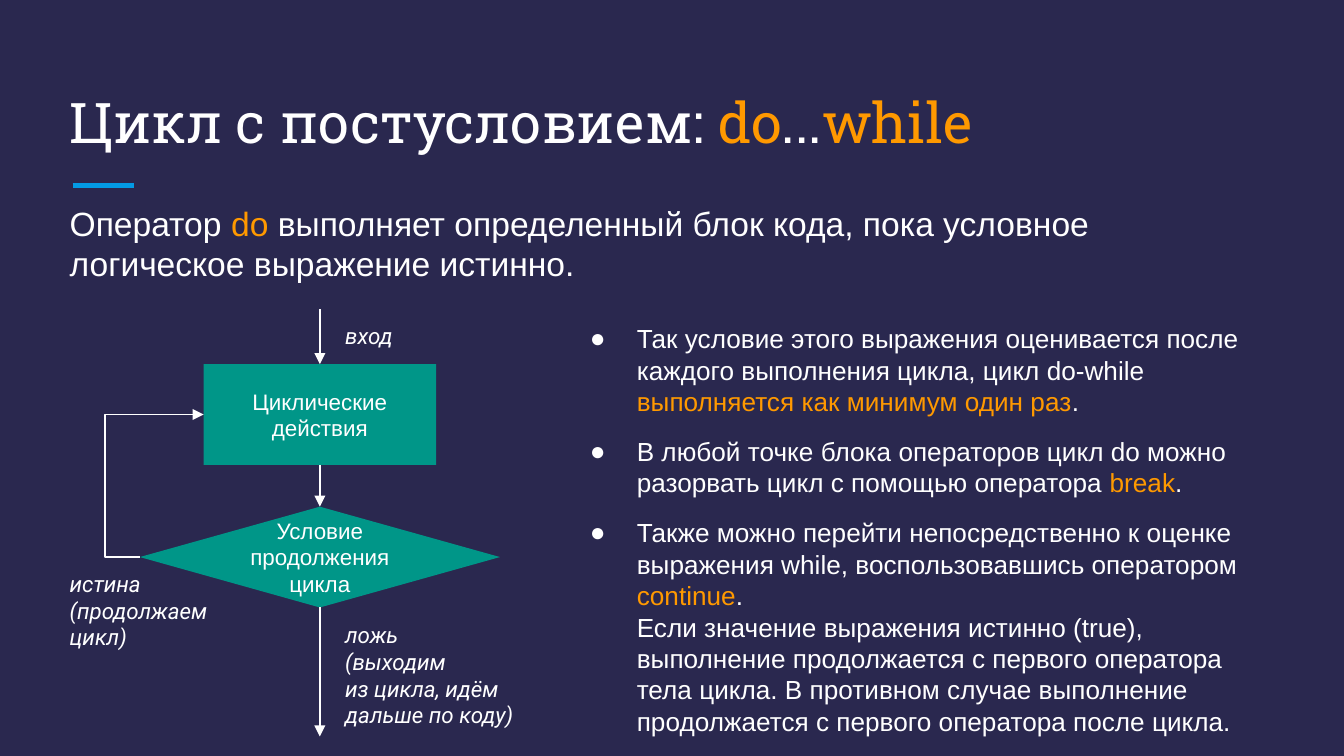
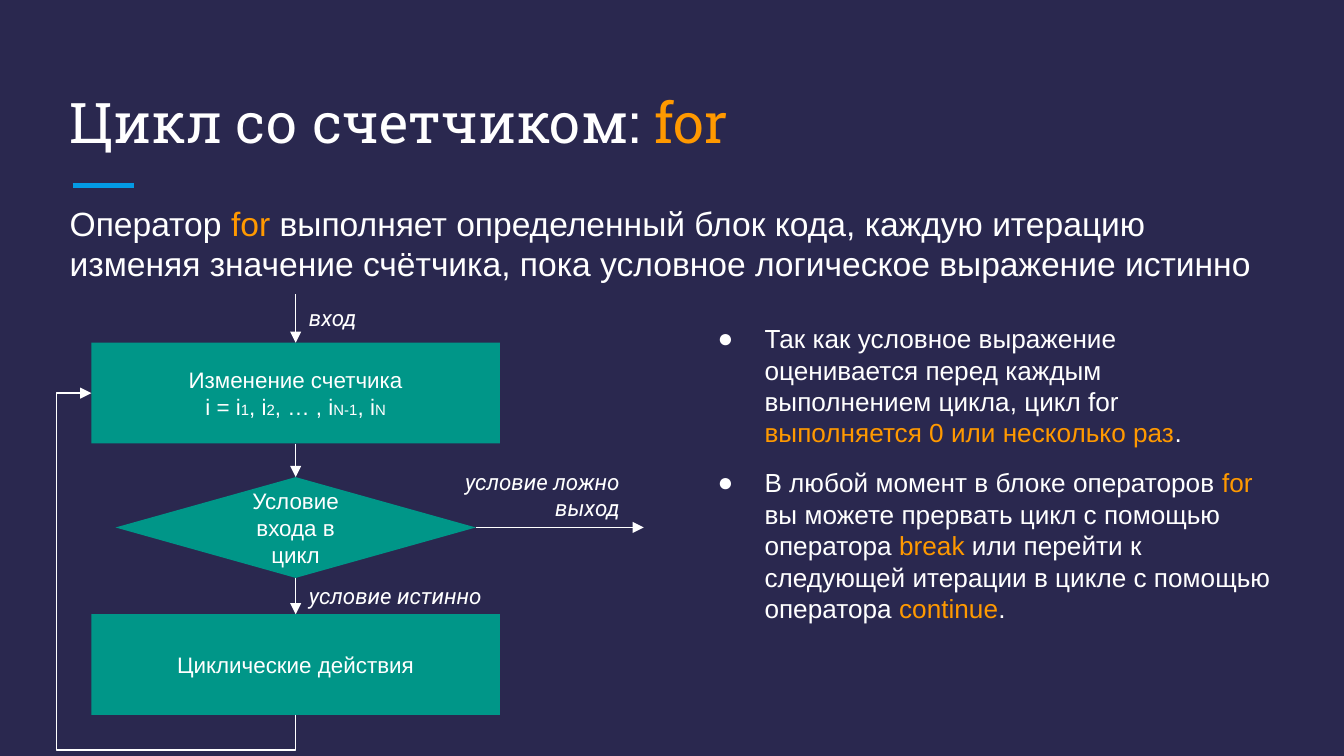
from dataclasses import dataclass

from lxml import etree
from pptx import Presentation
from pptx.dml.color import RGBColor
from pptx.enum.shapes import MSO_CONNECTOR, MSO_SHAPE
from pptx.enum.text import MSO_ANCHOR, MSO_AUTO_SIZE, PP_ALIGN
from pptx.oxml.ns import qn
from pptx.util import Inches, Pt

STRAIGHT, ELBOW = MSO_CONNECTOR.STRAIGHT, MSO_CONNECTOR.ELBOW
RECT, DIAMOND = MSO_SHAPE.RECTANGLE, MSO_SHAPE.DIAMOND
LEFT, CENTER, RIGHT = PP_ALIGN.LEFT, PP_ALIGN.CENTER, PP_ALIGN.RIGHT
TOP, MIDDLE, BOTTOM = MSO_ANCHOR.TOP, MSO_ANCHOR.MIDDLE, MSO_ANCHOR.BOTTOM
NO_FIT = MSO_AUTO_SIZE.NONE
TOP_SITE, LEFT_SITE, BOTTOM_SITE, RIGHT_SITE = range(4)
SITES = ((0.5, 0), (0, 0.5), (0.5, 1), (1, 0.5))


@dataclass(frozen=True)
class Theme:
    """Colours, fonts and type sizes of the deck."""
    background: RGBColor = RGBColor.from_string("2A284F")
    text: RGBColor = RGBColor.from_string("FFFFFF")
    accent: RGBColor = RGBColor.from_string("FF9900")
    rule: RGBColor = RGBColor.from_string("039BE5")
    node: RGBColor = RGBColor.from_string("009688")
    title_font: str = "Roboto Slab"
    body_font: str = "Arial"
    label_font: str = "Roboto"
    title_size: int = 30
    lead_size: int = 18
    bullet_size: int = 14
    node_size: int = 12
    small_size: int = 8


THEME = Theme()
SLIDE_WIDTH = 10
SLIDE_HEIGHT = SLIDE_WIDTH * 9 / 16
LINE_WIDTH = 0.75
NODE_HEIGHT = 0.75
DIAMOND_WIDTH = 2.68


def inches(*values):
    """Convert numbers to lengths in inches."""
    return [Inches(v) for v in values]


def setup_frame(shape, anchor=TOP):
    """Give a shape's text frame the shared insets and wrapping."""
    tf = shape.text_frame
    tf.word_wrap = True
    tf.auto_size = NO_FIT
    tf.vertical_anchor = anchor
    tf.margin_left = tf.margin_right = tf.margin_top = tf.margin_bottom = Inches(0.1)
    return tf


def write(p, text, size, font=THEME.body_font, align=LEFT, italic=False, small=False):
    """Fill a paragraph; parts between bars are accented or made small."""
    p.alignment = align
    p.font.size, p.font.name, p.font.italic = Pt(size), font, italic
    p.font.color.rgb = THEME.text
    for i, part in enumerate(text.split("|")):
        for j, line in enumerate(part.split("\n")):
            if j:
                p.add_line_break()
            if not line:
                continue
            r = p.add_run()
            r.text = line
            if i % 2 and small:
                r.font.size = Pt(THEME.small_size)
            elif i % 2:
                r.font.color.rgb = THEME.accent


def add_text(s, box, text, size, **style):
    """Add a text box with one paragraph."""
    tf = setup_frame(s.shapes.add_textbox(*inches(*box)))
    write(tf.paragraphs[0], text, size, **style)
    return tf


def add_label(s, box, text, align=LEFT):
    """Add an italic label beside an arrow."""
    add_text(s, box, text, THEME.node_size, font=THEME.label_font, align=align, italic=True)


def add_node(s, kind, x, y, width, text):
    """Add a flowchart node."""
    sp = s.shapes.add_shape(kind, *inches(x, y, width, NODE_HEIGHT))
    sp.shadow.inherit = False
    sp.fill.solid()
    sp.fill.fore_color.rgb = THEME.node
    sp.line.fill.background()
    tf = setup_frame(sp, MIDDLE)
    write(tf.paragraphs[0], text, THEME.node_size, align=CENTER, small=True)
    return sp


def style_line(c, color=THEME.text, width=LINE_WIDTH, head=True):
    """Format a connector, with an arrowhead at its end if wanted."""
    c.line.color.rgb = color
    c.line.width = Pt(width)
    sp_pr = c._element.spPr
    if head:
        etree.SubElement(sp_pr.find(qn("a:ln")), qn("a:tailEnd"), type="triangle")
    etree.SubElement(sp_pr, qn("a:effectLst"))


def locate(end):
    """Return the point of an end given as (x, y) or (shape, site)."""
    target, site = end
    if isinstance(target, (int, float)):
        return inches(*end)
    fx, fy = SITES[site]
    return [int(target.left + fx * target.width), int(target.top + fy * target.height)]


def add_arrow(s, start, end):
    """Draw a straight arrow and join it to the shapes at its ends."""
    c = s.shapes.add_connector(STRAIGHT, *locate(start), *locate(end))
    for finish, join in ((start, c.begin_connect), (end, c.end_connect)):
        if not isinstance(finish[0], (int, float)):
            join(*finish)
    style_line(c)


def add_elbow(s, start, end, preset, adjusts, quarter_turn=False):
    """Draw a bent arrow with the given bends."""
    c = s.shapes.add_connector(ELBOW, *inches(*start), *inches(*end))
    geom = c._element.spPr.find(qn("a:prstGeom"))
    geom.set("prst", preset)
    guides = geom.find(qn("a:avLst"))
    if guides is None:
        guides = etree.SubElement(geom, qn("a:avLst"))
    for i, value in enumerate(adjusts, 1):
        etree.SubElement(guides, qn("a:gd"), name=f"adj{i}", fmla=f"val {round(value * 100000)}")
    if quarter_turn:
        c._element.spPr.find(qn("a:xfrm")).set("rot", "5400000")
    style_line(c)


def add_heading(s, box, title, lead):
    """Place the title, the short rule and the lead sentence."""
    x, y, width, height = box
    sp = s.shapes.title
    sp.left, sp.top, sp.width, sp.height = inches(*box)
    tf = setup_frame(sp, BOTTOM)
    write(tf.paragraphs[0], title, THEME.title_size, font=THEME.title_font)
    rule_y = y + 0.88
    c = s.shapes.add_connector(STRAIGHT, *inches(x + 0.12, rule_y, x + 0.58, rule_y))
    style_line(c, THEME.rule, 3, head=False)
    tf = add_text(s, (x, y + 0.91, width, height), lead, THEME.lead_size)
    tf.paragraphs[0].space_after = Pt(16)


def add_bullets(s, box, items):
    """Add a bulleted list."""
    tf = setup_frame(s.shapes.add_textbox(*inches(*box)))
    for i, item in enumerate(items):
        p = tf.add_paragraph() if i else tf.paragraphs[0]
        p_pr = p._p.get_or_add_pPr()
        p_pr.set("marL", str(Inches(0.5)))
        p_pr.set("indent", str(Inches(-0.35)))
        color = etree.SubElement(p_pr, qn("a:buClr"))
        etree.SubElement(color, qn("a:srgbClr"), val=str(THEME.text))
        etree.SubElement(p_pr, qn("a:buFont"), typeface=THEME.body_font)
        etree.SubElement(p_pr, qn("a:buChar"), char="●")
        p.space_before = Pt(10 if i else 0)
        p.space_after = Pt(10 if i == len(items) - 1 else 0)
        write(p, item, THEME.bullet_size)


def add_do_while_flow(s, x, y):
    """Draw the loop that checks its condition after the body."""
    center = x + 1.96
    body_w, body_y, check_y = 1.73, y + 0.41, y + 1.47
    body_x, check_x = center - body_w / 2, center - DIAMOND_WIDTH / 2
    half = NODE_HEIGHT / 2
    body = add_node(s, RECT, body_x, body_y, body_w, "Циклические действия")
    check = add_node(s, DIAMOND, check_x, check_y, DIAMOND_WIDTH, "Условие\nпродолжения\nцикла")
    add_arrow(s, (center, y), (body, TOP_SITE))
    add_arrow(s, (body, BOTTOM_SITE), (check, TOP_SITE))
    add_arrow(s, (check, BOTTOM_SITE), (center, y + 3.18))
    add_elbow(s, (check_x, check_y + half), (body_x, body_y + half),
              "bentConnector3", [-0.26 / (body_x - check_x)])
    add_label(s, (x + 2.05, y, 0.79, 0.44), "вход")
    add_label(s, (x + 2.05, y + 2.22, 1.53, 0.94), "ложь\n(выходим\nиз цикла, идём дальше по коду)")
    add_label(s, (x, y + 1.84, 1.3, 0.75), "истина\n(продолжаем цикл)")


def add_for_flow(s, x, y):
    """Draw the loop that steps a counter and checks it before the body."""
    center, gap = x + 1.78, 0.26
    node_x, node_w = x + gap, 3.04
    step_y, check_y, body_y = y + 0.39, y + 1.39, y + 2.41
    step = add_node(s, RECT, node_x, step_y, node_w,
                    "Изменение счетчика\ni = i|1|, i|2|, … , i|N-1|, i|N|")
    check = add_node(s, DIAMOND, center - DIAMOND_WIDTH / 2, check_y, DIAMOND_WIDTH,
                     "Условие\nвхода в\nцикл")
    body = add_node(s, RECT, node_x, body_y, node_w, "Циклические действия")
    add_arrow(s, (center, y + 0.03), (step, TOP_SITE))
    add_arrow(s, (step, BOTTOM_SITE), (check, TOP_SITE))
    add_arrow(s, (check, BOTTOM_SITE), (body, TOP_SITE))
    add_arrow(s, (check, RIGHT_SITE), (x + 4.37, check_y + NODE_HEIGHT / 2))
    start_y, end_y = body_y + NODE_HEIGHT, step_y + NODE_HEIGHT / 2
    rise, run = start_y - end_y, center - node_x
    mid_x, mid_y = (center + node_x) / 2, (start_y + end_y) / 2
    add_elbow(s, (mid_x + rise / 2, mid_y - run / 2), (mid_x - rise / 2, mid_y + run / 2),
              "bentConnector4", [-gap / rise, 1 + gap / run], quarter_turn=True)
    add_label(s, (center, y, 0.79, 0.42), "вход")
    add_label(s, (center, y + 2.07, 1.52, 0.42), "условие истинно")
    add_label(s, (x + 2.77, y + 1.22, 1.52, 0.54), "условие ложно\nвыход", RIGHT)


def add_loop_slide(prs, title, lead, flow, flow_at, bullets, bullets_box):
    """Build a slide with a heading, a flowchart and bullets."""
    s = prs.slides.add_slide(prs.slide_layouts[5])
    add_heading(s, (0.42, 0.5, 9.15, 0.75), title, lead)
    flow(s, *flow_at)
    add_bullets(s, bullets_box, bullets)


def main():
    """Build and save the deck."""
    prs = Presentation()
    prs.slide_width, prs.slide_height = inches(SLIDE_WIDTH, SLIDE_HEIGHT)
    fill = prs.slide_master.background.fill
    fill.solid()
    fill.fore_color.rgb = THEME.background
    add_loop_slide(
        prs, "Цикл с постусловием: |do|...|while|",
        "Оператор |do |выполняет определенный блок кода, пока условное "
        "логическое выражение истинно.",
        add_do_while_flow, (0.42, 2.3),
        ["Так условие этого выражения оценивается после каждого выполнения цикла, "
         "цикл do-while |выполняется как минимум один раз|.",
         "В любой точке блока операторов цикл do можно разорвать цикл "
         "с помощью оператора |break|.",
         "Также можно перейти непосредственно к оценке выражения while, "
         "воспользовавшись оператором |continue|.\n"
         "Если значение выражения истинно (true), выполнение продолжается с первого "
         "оператора тела цикла. В противном случае выполнение продолжается "
         "с первого оператора после цикла."],
        (4.14, 2.3, 5.44, 3.32))
    add_loop_slide(
        prs, "Цикл со счетчиком: |for|",
        "Оператор |for |выполняет определенный блок кода, каждую итерацию изменяя "
        "значение счётчика, пока условное логическое выражение истинно",
        add_for_flow, (0.42, 2.16),
        ["Так как условное выражение оценивается перед каждым выполнением цикла, "
         "цикл for |выполняется 0 или несколько раз|.",
         "В любой момент в блоке операторов |for |вы можете прервать цикл с помощью "
         "оператора |break| или перейти к следующей итерации в цикле "
         "с помощью оператора |continue|."],
        (5.09, 2.3, 4.49, 3.11))
    prs.save("out.pptx")


if __name__ == "__main__":
    main()
